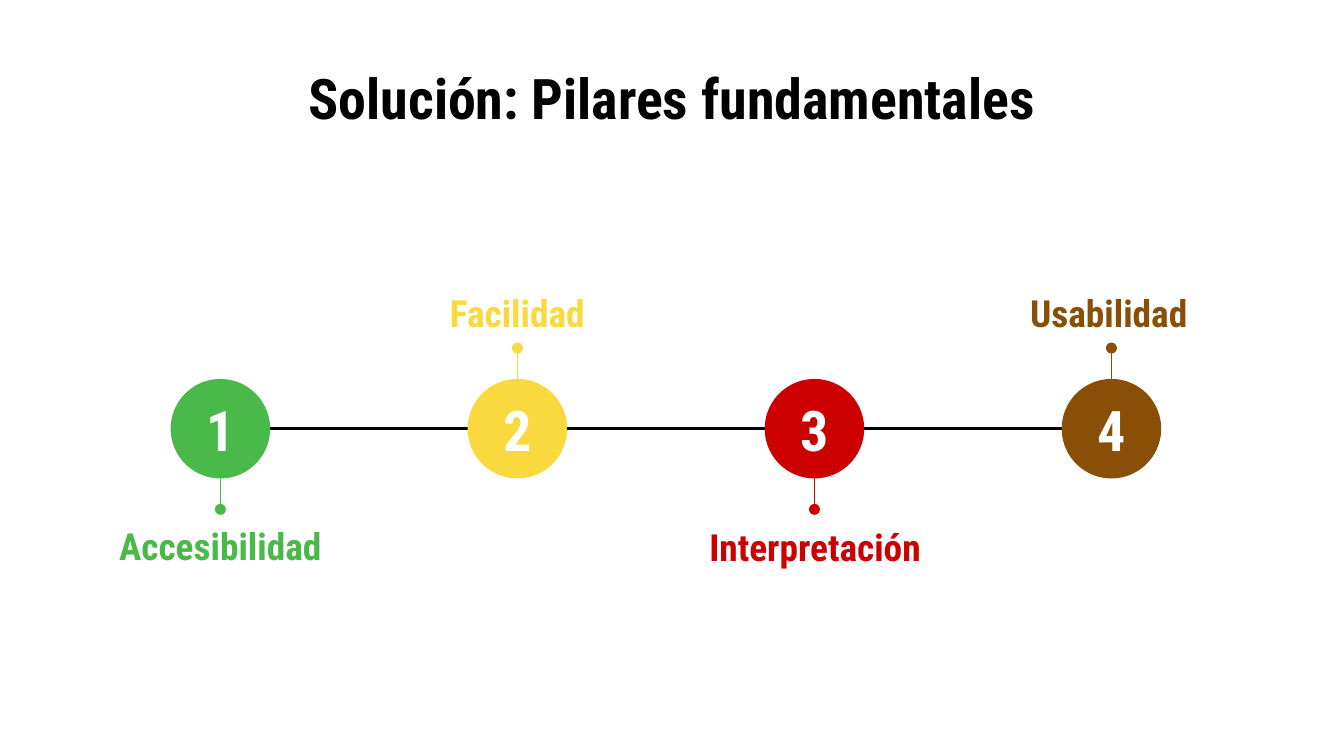
from dataclasses import dataclass

from lxml.etree import SubElement
from pptx import Presentation
from pptx.dml.color import RGBColor
from pptx.enum.shapes import MSO_CONNECTOR, MSO_SHAPE
from pptx.enum.text import MSO_ANCHOR, PP_ALIGN
from pptx.oxml.ns import qn
from pptx.util import Inches, Pt

COLOURS = {
    "black": "000000",
    "white": "FFFFFF",
    "green": "49BA49",
    "yellow": "F9D93D",
    "red": "CC0000",
    "brown": "8A4F07",
}
FONT = "Roboto Condensed"

# Widescreen slide and timeline grid, in inches
WIDTH = 10
HEIGHT = WIDTH * 9 / 16
TITLE_MARGIN = 0.78
FIRST_COLUMN, COLUMN_STEP = 1.64, 2.21
AXIS = 3.19
DIAMETER = 0.74
RADIUS = DIAMETER / 2
STEM = 0.23
LABEL_HEIGHT = 0.74


@dataclass(frozen=True)
class Pillar:
    name: str
    colour: str
    above: bool
    label_left: float
    label_top: float
    label_width: float = 2.74


PILLARS = [
    Pillar("Accesibilidad", "green", False, 0.27, 3.79),
    Pillar("Facilidad", "yellow", True, 2.48, 2.06),
    Pillar("Interpretación", "red", False, 4.87, 3.8, label_width=2.39),
    Pillar("Usabilidad", "brown", True, 6.88, 2.06),
]


def rgb(name: str) -> RGBColor:
    return RGBColor.from_string(COLOURS[name])


def write(shape, text: str, *, size: float, colour: str,
          anchor=MSO_ANCHOR.TOP, spacing: float = 1.0) -> None:
    """Put one bold, centred paragraph in a shape."""
    frame = shape.text_frame
    frame.word_wrap = True
    frame.vertical_anchor = anchor
    frame.margin_left = frame.margin_right = Inches(0.1)
    frame.margin_top = frame.margin_bottom = Inches(0.1)
    para = frame.paragraphs[0]
    para.alignment = PP_ALIGN.CENTER
    para.line_spacing = spacing
    span = para.add_run()
    span.text = text
    span.font.name = FONT
    span.font.size = Pt(size)
    span.font.bold = True
    span.font.color.rgb = rgb(colour)


def add_text(page, text: str, left: float, top: float, width: float,
             height: float, **style) -> None:
    box = page.shapes.add_textbox(
        Inches(left), Inches(top), Inches(width), Inches(height))
    write(box, text, **style)


def add_line(page, start: tuple[float, float], end: tuple[float, float], *,
             colour: str, weight: float, dot: bool = False) -> None:
    """Draw a straight line, with a round dot at its end if asked."""
    line = page.shapes.add_connector(
        MSO_CONNECTOR.STRAIGHT, *(Inches(value) for value in start + end))
    line.line.color.rgb = rgb(colour)
    line.line.width = Pt(weight)
    if dot:
        outline = line._element.spPr.find(qn("a:ln"))
        SubElement(outline, qn("a:tailEnd"), type="oval")
    SubElement(line._element.spPr, qn("a:effectLst"))


def add_pillar(page, number: int, pillar: Pillar) -> None:
    centre = FIRST_COLUMN + (number - 1) * COLUMN_STEP

    # Label above or below the axis
    add_text(page, pillar.name, pillar.label_left, pillar.label_top,
             pillar.label_width, LABEL_HEIGHT, size=20, colour=pillar.colour)

    # Numbered circle
    circle = page.shapes.add_shape(
        MSO_SHAPE.OVAL, Inches(centre - RADIUS), Inches(AXIS - RADIUS),
        Inches(DIAMETER), Inches(DIAMETER))
    circle.shadow.inherit = False
    circle.fill.solid()
    circle.fill.fore_color.rgb = rgb(pillar.colour)
    circle.line.fill.background()
    write(circle, str(number), size=30, colour="white",
          anchor=MSO_ANCHOR.MIDDLE)

    # Stem from the circle towards the label
    side = -1 if pillar.above else 1
    add_line(page, (centre, AXIS + side * RADIUS),
             (centre, AXIS + side * (RADIUS + STEM)),
             colour=pillar.colour, weight=0.75, dot=True)

    # Link to the next circle
    if number < len(PILLARS):
        add_line(page, (centre + RADIUS, AXIS),
                 (centre + COLUMN_STEP - RADIUS, AXIS),
                 colour="black", weight=1.5)


def main() -> None:
    deck = Presentation()
    deck.slide_width, deck.slide_height = Inches(WIDTH), Inches(HEIGHT)
    page = deck.slides.add_slide(deck.slide_layouts[6])

    # Title
    add_text(page, "Solución: Pilares fundamentales", TITLE_MARGIN, 0.59,
             WIDTH - 2 * TITLE_MARGIN, 0.45,
             size=30, colour="black", spacing=0.5)

    # Timeline
    for number, pillar in enumerate(PILLARS, start=1):
        add_pillar(page, number, pillar)

    deck.save("out.pptx")


if __name__ == "__main__":
    main()
